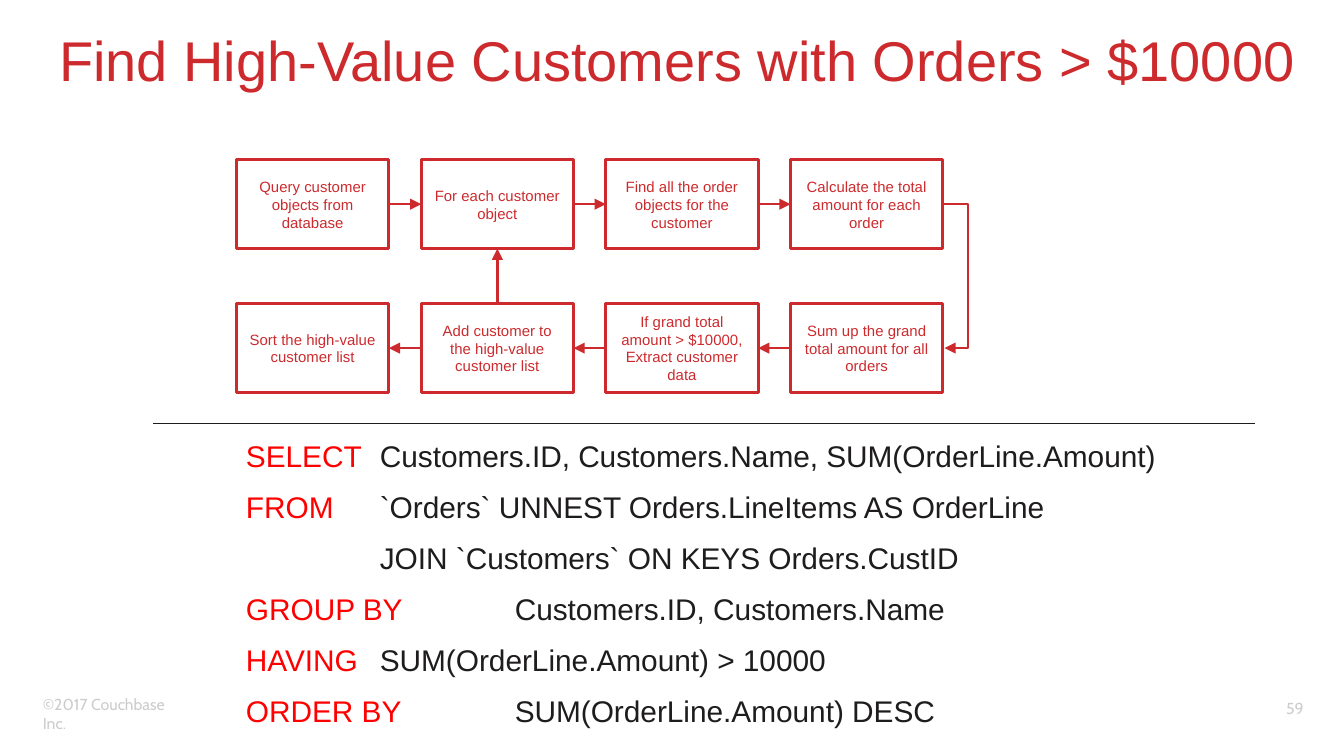
from lxml import etree
from pptx import Presentation
from pptx.dml.color import RGBColor
from pptx.enum.shapes import MSO_CONNECTOR, MSO_SHAPE
from pptx.enum.text import MSO_ANCHOR, PP_ALIGN
from pptx.oxml.ns import qn
from pptx.util import Cm, Pt

STRAIGHT, ELBOW = MSO_CONNECTOR.STRAIGHT, MSO_CONNECTOR.ELBOW
TOP, MIDDLE = MSO_ANCHOR.TOP, MSO_ANCHOR.MIDDLE
LEFT, CENTER, RIGHT = PP_ALIGN.LEFT, PP_ALIGN.CENTER, PP_ALIGN.RIGHT
SITE_TOP, SITE_LEFT, SITE_BOTTOM, SITE_RIGHT = range(4)
RED, KEYWORD, INK, GREY, WHITE = "CC2A2D", "FF0000", "1E1C1C", "CCCCCC", "FFFFFF"

TITLE = "Find High-Value Customers with Orders > $10000"
STEPS = [
    ["Query customer objects from database",
     "For each customer object",
     "Find all the order objects for the customer",
     "Calculate the total amount for each order"],
    ["Sort the high-value customer list",
     "Add customer to the high-value customer list",
     "If grand total amount > $10000, Extract customer data",
     "Sum up the grand total amount for all orders"],
]
QUERY = [
    ("SELECT", "Customers.ID, Customers.Name, SUM(OrderLine.Amount)"),
    ("FROM", "`Orders` UNNEST Orders.LineItems AS OrderLine"),
    ("", "JOIN `Customers` ON KEYS Orders.CustID"),
    ("GROUP BY", "Customers.ID, Customers.Name"),
    ("HAVING", "SUM(OrderLine.Amount) > 10000"),
    ("ORDER BY", "SUM(OrderLine.Amount) DESC"),
]
TAB_STOPS = [2.53, 5.08]
GRID_X, GRID_Y, STEP_X, STEP_Y = 4.47, 3.02, 3.49, 2.72
BOX_W, BOX_H = 2.88, 1.68


def rgb(value):
    return RGBColor.from_string(value)


def add_run(p, text, size, color, font="Arial"):
    r = p.add_run()
    r.text = text
    r.font.size, r.font.name = Pt(size), font
    r.font.color.rgb = rgb(color)


def set_frame(tf, anchor=TOP, wrap=True, inset=(0.18, 0.1)):
    tf.word_wrap, tf.vertical_anchor = wrap, anchor
    tf.margin_left = tf.margin_right = Cm(inset[0])
    tf.margin_top = tf.margin_bottom = Cm(inset[1])


def write(tf, text, size, color, align=LEFT, font="Arial", **frame):
    set_frame(tf, **frame)
    p = tf.paragraphs[0]
    p.alignment = align
    add_run(p, text, size, color, font)


def add_line(s, x1, y1, x2, y2, kind=STRAIGHT, color=RED, width=1.25, arrow=True):
    line = s.shapes.add_connector(kind, Cm(x1), Cm(y1), Cm(x2), Cm(y2))
    line.line.color.rgb, line.line.width = rgb(color), Pt(width)
    if arrow:
        etree.SubElement(line.line._get_or_add_ln(), qn("a:tailEnd"), type="triangle")
    etree.SubElement(line._element.spPr, qn("a:effectLst"))
    return line


def add_arrow(s, start, start_site, end, end_site):
    line = add_line(s, 0, 0, 1, 1)
    line.begin_connect(start, start_site)
    line.end_connect(end, end_site)


def add_box(s, col, row, text):
    sp = s.shapes.add_shape(MSO_SHAPE.RECTANGLE, Cm(GRID_X + col * STEP_X),
                            Cm(GRID_Y + row * STEP_Y), Cm(BOX_W), Cm(BOX_H))
    sp.shadow.inherit = False
    sp.fill.solid()
    sp.fill.fore_color.rgb = rgb(WHITE)
    sp.line.color.rgb, sp.line.width = rgb(RED), Pt(1.5)
    write(sp.text_frame, text, 8, RED, CENTER, anchor=MIDDLE)
    return sp


def add_flow(s):
    top, bottom = [[add_box(s, col, row, text) for col, text in enumerate(texts)]
                   for row, texts in enumerate(STEPS)]
    for a, b in zip(top, top[1:]):
        add_arrow(s, a, SITE_RIGHT, b, SITE_LEFT)
    for a, b in zip(bottom, bottom[1:]):
        add_arrow(s, b, SITE_LEFT, a, SITE_RIGHT)
    add_arrow(s, bottom[1], SITE_TOP, top[1], SITE_BOTTOM)
    x, y = GRID_X + 3 * STEP_X + BOX_W, GRID_Y + BOX_H / 2
    turn = add_line(s, x, y, x + 0.03, y + STEP_Y, ELBOW)
    guides = turn._element.spPr.prstGeom.get_or_add_avLst()
    etree.SubElement(guides, qn("a:gd"), name="adj1", fmla="val 1600000")


def add_query(s):
    tf = s.shapes.add_textbox(Cm(4.47), Cm(8.26), Cm(20.9), Cm(3.63)).text_frame
    set_frame(tf)
    for i, (keyword, clause) in enumerate(QUERY):
        p = tf.add_paragraph() if i else tf.paragraphs[0]
        p.line_spacing = 0.9
        p.space_before = Pt(10 if i else 0)
        tabs = etree.SubElement(p._p.get_or_add_pPr(), qn("a:tabLst"))
        for stop in TAB_STOPS:
            etree.SubElement(tabs, qn("a:tab"), pos=str(Cm(stop)), algn="l")
        if keyword:
            add_run(p, keyword, 16, KEYWORD)
        add_run(p, "\t" + clause, 16, INK)


def add_footer(s, text, x, w, **fmt):
    tf = s.shapes.add_textbox(Cm(x), Cm(13), Cm(w), Cm(0.76)).text_frame
    write(tf, text, 8.5, GREY, font="Cabin", inset=(0.25, 0.13), **fmt)


def main():
    prs = Presentation()
    prs.slide_width, prs.slide_height = Cm(25.4), Cm(14.29)
    s = prs.slides.add_slide(prs.slide_layouts[5])
    title = s.shapes.title
    title.left, title.top, title.width, title.height = Cm(0.81), Cm(0.38), Cm(23.98), Cm(1.47)
    write(title.text_frame, TITLE, 30, RED, CENTER, wrap=False)
    add_footer(s, "©2017 Couchbase Inc.", 0.56, 3.3)
    add_footer(s, "59", 22.83, 2.06, align=RIGHT, anchor=MIDDLE)
    add_line(s, 2.9, 8, 23.72, 8, color=INK, width=0.75, arrow=False)
    add_flow(s)
    add_query(s)
    prs.save("out.pptx")


if __name__ == "__main__":
    main()
